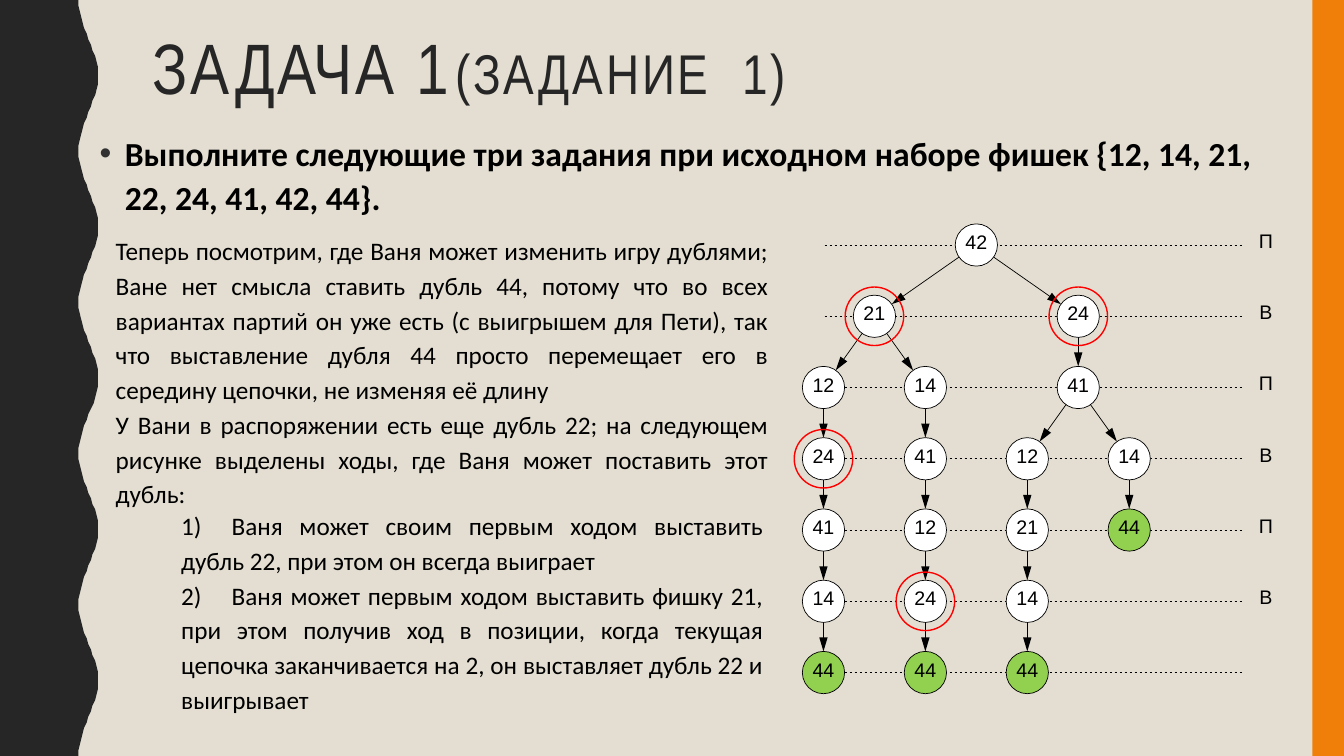
import math
import pptx
import pptx.util
import pptx.dml.color
import pptx.enum.dml
import pptx.enum.shapes
import pptx.enum.text
import pptx.oxml.ns
from lxml import etree

Pt = pptx.util.Pt
RGB = pptx.dml.color.RGBColor.from_string
SHAPE = pptx.enum.shapes.MSO_SHAPE
ALIGN = pptx.enum.text.PP_ALIGN
qn = pptx.oxml.ns.qn
COLORS = {"back": "E3DED1", "dark": "262626", "orange": "F07F09", "black": "000000",
          "white": "FFFFFF", "green": "92D050", "red": "FF0000", "bullet": "323232"}

prs = pptx.Presentation()
prs.slide_width, prs.slide_height = Pt(960), Pt(540)
s = prs.slides.add_slide(prs.slide_layouts[6])
s.background.fill.solid()
s.background.fill.fore_color.rgb = RGB(COLORS["back"])


def add_shape(kind, x, y, w, h, fill=None, line=None, width=0.5):
    sp = s.shapes.add_shape(kind, Pt(x), Pt(y), Pt(w), Pt(h))
    sp.shadow.inherit = False
    if fill:
        sp.fill.solid()
        sp.fill.fore_color.rgb = RGB(COLORS[fill])
    else:
        sp.fill.background()
    if line:
        sp.line.color.rgb = RGB(COLORS[line])
        sp.line.width = Pt(width)
    else:
        sp.line.fill.background()
    return sp


def add_run(p, text, size, font, color="black", bold=False):
    r = p.add_run()
    r.text = text
    r.font.size, r.font.name, r.font.bold = Pt(size), font, bold
    r.font.color.rgb = RGB(COLORS[color])
    return r


# Side bands: the left edge is a wave of five periods
PERIOD = 108
wave = [(63 - 7 * math.cos(2 * math.pi * y / PERIOD), y) for y in range(0, 541, 4)]
fb = s.shapes.build_freeform(0, 0, scale=float(Pt(1)))
fb.add_line_segments(wave + [(0, 540)], close=True)
sp = fb.convert_to_shape()
sp.shadow.inherit = False
sp.fill.solid()
sp.fill.fore_color.rgb = RGB(COLORS["dark"])
sp.line.fill.background()
add_shape(SHAPE.RECTANGLE, 937.4, 0, 22.6, 540, "orange")

# Texts: box, line spacing, alignment, left indent, first line, tab stop, paragraphs of runs
TITLE, BODY = "Arial Narrow", "Calibri"
texts = [
    ((102.2, 20.2, 801, 117), 0.9, ALIGN.LEFT, 0, 0, 296,
     [[("ЗАДАЧА 1\t", 51, TITLE, "dark"), ("(ЗАДАНИЕ  1)", 40, TITLE, "dark")]]),
    ((64.1, 88.6, 855, 80), 1.1, ALIGN.LEFT, 18, -18, None,
     [[("Выполните следующие три задания при исходном наборе фишек "
        "{12, 14, 21, 22, 24, 41, 42, 44}.", 24, BODY, "black", True)]]),
    ((75.6, 161.3, 480.2, 207), 1.15, ALIGN.JUSTIFY, 0, 0, None,
     [[("Теперь посмотрим, где Ваня может изменить игру дублями; Ване нет смысла ставить "
        "дубль 44, потому что во всех вариантах партий он уже есть (с выигрышем для Пети), "
        "так что выставление дубля 44 просто перемещает его в середину цепочки, "
        "не изменяя её длину", 18, BODY)],
      [("У Вани в распоряжении есть еще дубль 22; на следующем рисунке выделены ходы, "
        "где Ваня может поставить этот дубль:", 18, BODY)]]),
    ((72, 357.8, 480.2, 158), 1.15, ALIGN.JUSTIFY, 50.4, 0, 88,
     [[("1)\tВаня может своим первым ходом выставить дубль 22, "
        "при этом он всегда выиграет", 18, BODY)],
      [("2)\tВаня может первым ходом выставить фишку 21, при этом получив ход в позиции, "
        "когда текущая цепочка заканчивается на 2, он выставляет дубль 22 и выигрывает",
        18, BODY)]]),
]
for box, spacing, align, indent, first, tab, paragraphs in texts:
    tf = s.shapes.add_textbox(*map(Pt, box)).text_frame
    tf.word_wrap = True
    for i, runs in enumerate(paragraphs):
        p = tf.paragraphs[0] if i == 0 else tf.add_paragraph()
        p.alignment, p.line_spacing = align, spacing
        pPr = p._p.get_or_add_pPr()
        pPr.set("marL", str(Pt(indent)))
        pPr.set("indent", str(Pt(first)))
        if first:
            p.space_before = Pt(7)
            color = etree.SubElement(pPr, qn("a:buClr"))
            etree.SubElement(color, qn("a:srgbClr"), val=COLORS["bullet"])
            etree.SubElement(pPr, qn("a:buFont"), typeface="Arial")
            etree.SubElement(pPr, qn("a:buChar"), char="•")
        if tab:
            stops = etree.SubElement(pPr, qn("a:tabLst"))
            etree.SubElement(stops, qn("a:tab"), pos=str(Pt(tab)), algn="l")
        for run in runs:
            r = add_run(p, *run)
            if run[2] == TITLE:
                r._r.get_or_add_rPr().set("spc", "200")

# Game tree: (row, column): (chip, parent column, circled in red)
X0, Y0, COL, ROW, RADIUS, RING = 588.2, 175, 72.8, 50.9, 15.1, 20.9
tree = {
    (0, 1.5): ("42", None, False),
    (1, 0.5): ("21", 1.5, True), (1, 2.5): ("24", 1.5, True),
    (2, 0): ("12", 0.5, False), (2, 1): ("14", 0.5, False), (2, 2.5): ("41", 2.5, False),
    (3, 0): ("24", 0, True), (3, 1): ("41", 1, False),
    (3, 2): ("12", 2.5, False), (3, 3): ("14", 2.5, False),
    (4, 0): ("41", 0, False), (4, 1): ("12", 1, False),
    (4, 2): ("21", 2, False), (4, 3): ("44", 3, False),
    (5, 0): ("14", 0, False), (5, 1): ("24", 1, True), (5, 2): ("14", 2, False),
    (6, 0): ("44", 0, False), (6, 1): ("44", 1, False), (6, 2): ("44", 2, False),
}
lines = [(589, Y0 + ROW * row, 887.8, Y0 + ROW * row, False) for row in range(7)]
for (row, col), (chip, parent, ringed) in tree.items():
    if parent is not None:
        dx, dy = COL * (col - parent), ROW
        k = RADIUS / math.hypot(dx, dy)
        x, y = X0 + COL * parent, Y0 + ROW * (row - 1)
        lines.append((x + k * dx, y + k * dy, x + (1 - k) * dx, y + (1 - k) * dy, True))
for x1, y1, x2, y2, arrow in lines:
    c = s.shapes.add_connector(pptx.enum.shapes.MSO_CONNECTOR.STRAIGHT,
                               Pt(x1), Pt(y1), Pt(x2), Pt(y2))
    c.line.color.rgb = RGB(COLORS["black"])
    c.line.width = Pt(0.5)
    if arrow:
        etree.SubElement(c.line._get_or_add_ln(), qn("a:tailEnd"), type="triangle",
                         w="med", len="lg")
    else:
        c.line.dash_style = pptx.enum.dml.MSO_LINE.DASH
    etree.SubElement(c._element.spPr, qn("a:effectLst"))

labels = []
for (row, col), (chip, parent, ringed) in tree.items():
    x, y = X0 + COL * col, Y0 + ROW * row
    sp = add_shape(SHAPE.OVAL, x - RADIUS, y - RADIUS, 2 * RADIUS, 2 * RADIUS,
                   "green" if chip == "44" else "white", "black")
    labels.append((sp, chip, 0))
    if ringed:
        add_shape(SHAPE.OVAL, x - RING, y - RING, 2 * RING, 2 * RING, None, "red", 1)
for row, player in enumerate("ПВПВПВ"):
    sp = s.shapes.add_textbox(Pt(889.9), Pt(Y0 + ROW * row - RADIUS), Pt(28.8), Pt(2 * RADIUS))
    labels.append((sp, player, 3.6))
for sp, text, top in labels:
    tf = sp.text_frame
    tf.margin_left = tf.margin_right = tf.margin_bottom = 0
    tf.margin_top = Pt(top)
    tf.vertical_anchor = pptx.enum.text.MSO_ANCHOR.TOP
    tf.word_wrap = False
    p = tf.paragraphs[0]
    p.alignment = ALIGN.CENTER
    add_run(p, text, 14, "Arial")

prs.save("out.pptx")
